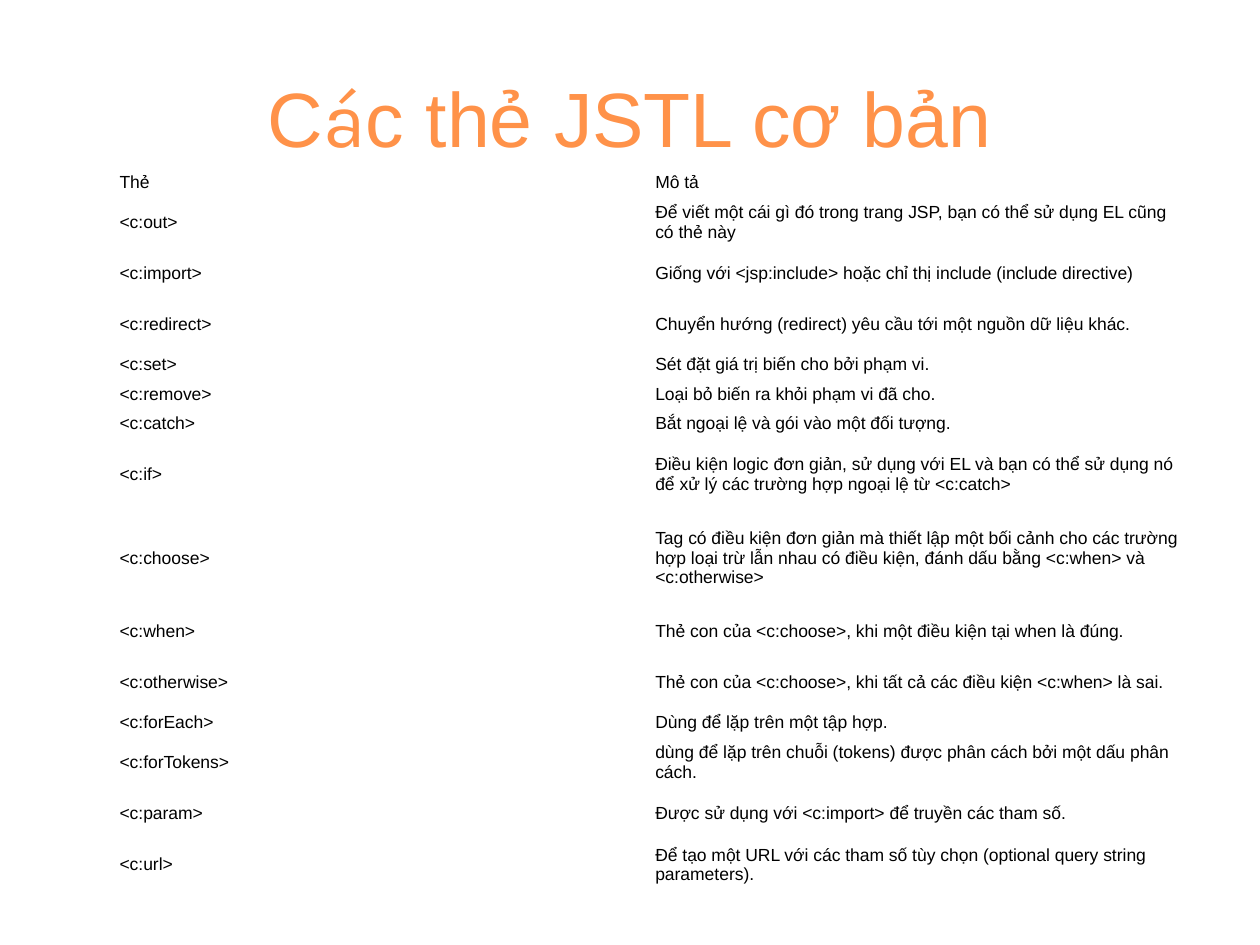
import pptx
import pptx.util
import pptx.dml.color
import pptx.enum.text

Cm = pptx.util.Cm
COLORS = {"title": "FF9249", "text": "000000"}
FONT = "Arial"

# Title pieces: text, font
TITLE = [("C", FONT), ("á", "Karla"), ("c thẻ JSTL cơ bản", FONT)]

# Tag, description, height of the row in text lines
ROWS = [
    ("Thẻ", "Mô tả", 1),
    ("<c:out>", "Để viết một cái gì đó trong trang JSP, bạn có thể sử dụng EL cũng có thẻ này", 2),
    ("<c:import>", "Giống với <jsp:include> hoặc chỉ thị include (include directive)", 2),
    ("<c:redirect>", "Chuyển hướng (redirect) yêu cầu tới một nguồn dữ liệu khác.", 2),
    ("<c:set>", "Sét đặt giá trị biến cho bởi phạm vi.", 1),
    ("<c:remove>", "Loại bỏ biến ra khỏi phạm vi đã cho.", 1),
    ("<c:catch>", "Bắt ngoại lệ và gói vào một đối tượng.", 1),
    ("<c:if>", "Điều kiện logic đơn giản, sử dụng với EL và bạn có thể sử dụng nó "
               "để xử lý các trường hợp ngoại lệ từ <c:catch>", 3),
    ("<c:choose>", "Tag có điều kiện đơn giản mà thiết lập một bối cảnh cho các trường hợp "
                   "loại trừ lẫn nhau có điều kiện, đánh dấu bằng <c:when> và <c:otherwise>", 4),
    ("<c:when>", "Thẻ con của <c:choose>, khi một điều kiện tại when là đúng.", 2),
    ("<c:otherwise>", "Thẻ con của <c:choose>, khi tất cả các điều kiện <c:when> là sai.", 2),
    ("<c:forEach>", "Dùng để lặp trên một tập hợp.", 1),
    ("<c:forTokens>", "dùng để lặp trên chuỗi (tokens) được phân cách bởi một dấu phân cách.", 2),
    ("<c:param>", "Được sử dụng với <c:import> để truyền các tham số.", 2),
    ("<c:url>", "Để tạo một URL với các tham số tùy chọn (optional query string parameters).", 2),
]
LINE_HEIGHT, ROW_PADDING = 0.44, 0.15
COLUMN_WIDTH, CELL_MARGIN = 10.8, 0.08


def format_run(run, size, font, color):
    run.font.size = pptx.util.Pt(size)
    run.font.name = font
    run.font.color.rgb = pptx.dml.color.RGBColor.from_string(COLORS[color])


def add_title(slide):
    box = slide.shapes.add_textbox(Cm(1.27), Cm(0.76), Cm(22.86), Cm(3.18))
    box.text_frame.word_wrap = True
    box.text_frame.vertical_anchor = pptx.enum.text.MSO_ANCHOR.MIDDLE
    paragraph = box.text_frame.paragraphs[0]
    paragraph.alignment = pptx.enum.text.PP_ALIGN.CENTER
    for text, font in TITLE:
        run = paragraph.add_run()
        run.text = text
        format_run(run, 44, font, "title")


def fill_cell(cell, text):
    cell.fill.background()
    cell.vertical_anchor = pptx.enum.text.MSO_ANCHOR.MIDDLE
    cell.margin_left = cell.margin_right = Cm(CELL_MARGIN)
    cell.margin_top = cell.margin_bottom = Cm(CELL_MARGIN)
    cell.text_frame.text = text
    format_run(cell.text_frame.paragraphs[0].runs[0], 10, FONT, "text")


def add_tag_table(slide):
    heights = [LINE_HEIGHT * lines + ROW_PADDING for _, _, lines in ROWS]
    table = slide.shapes.add_table(len(ROWS), 2, Cm(2.33), Cm(3.38),
                                   Cm(2 * COLUMN_WIDTH), Cm(sum(heights))).table
    table.first_row = table.horz_banding = False
    for row, height, (tag, description, _) in zip(table.rows, heights, ROWS):
        row.height = Cm(height)
        for cell, text in zip(row.cells, (tag, description)):
            fill_cell(cell, text)


def main():
    presentation = pptx.Presentation()
    presentation.slide_width, presentation.slide_height = Cm(25.4), Cm(19.05)
    slide = presentation.slides.add_slide(presentation.slide_layouts[6])
    add_title(slide)
    add_tag_table(slide)
    presentation.save("out.pptx")


if __name__ == "__main__":
    main()
